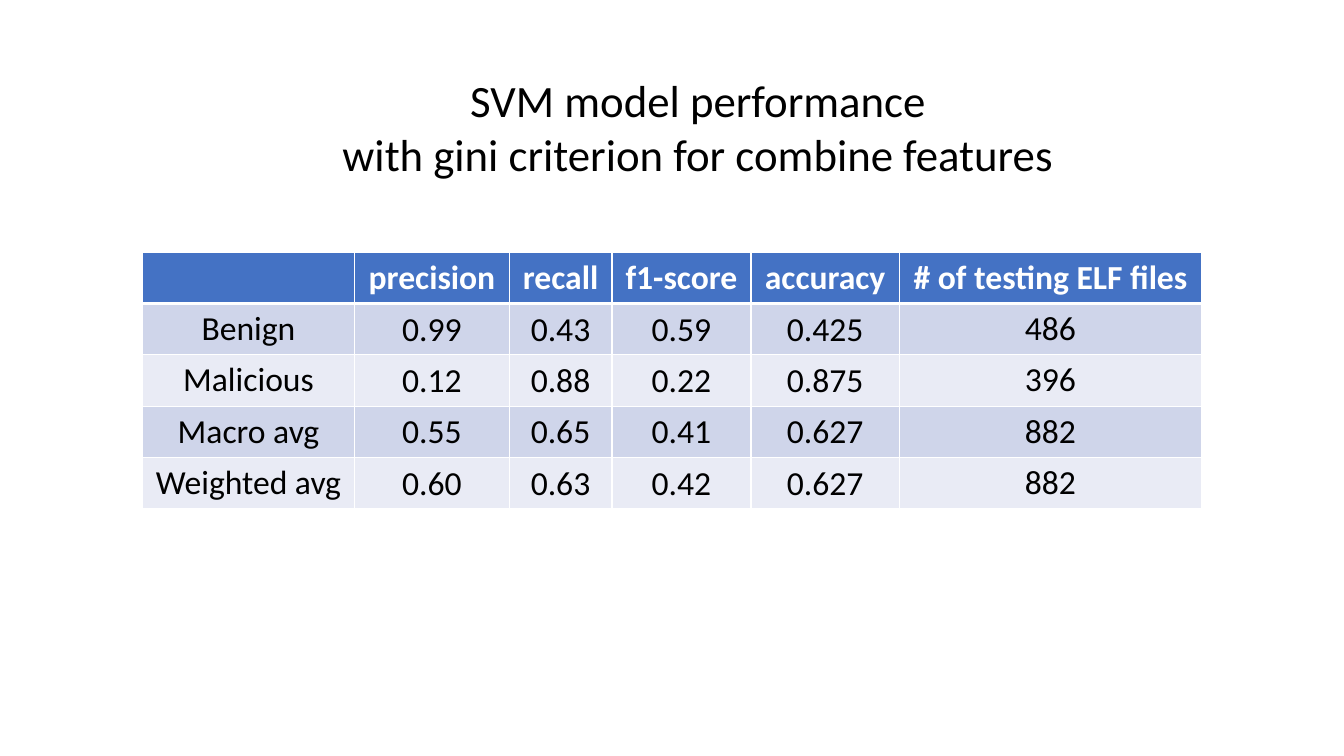
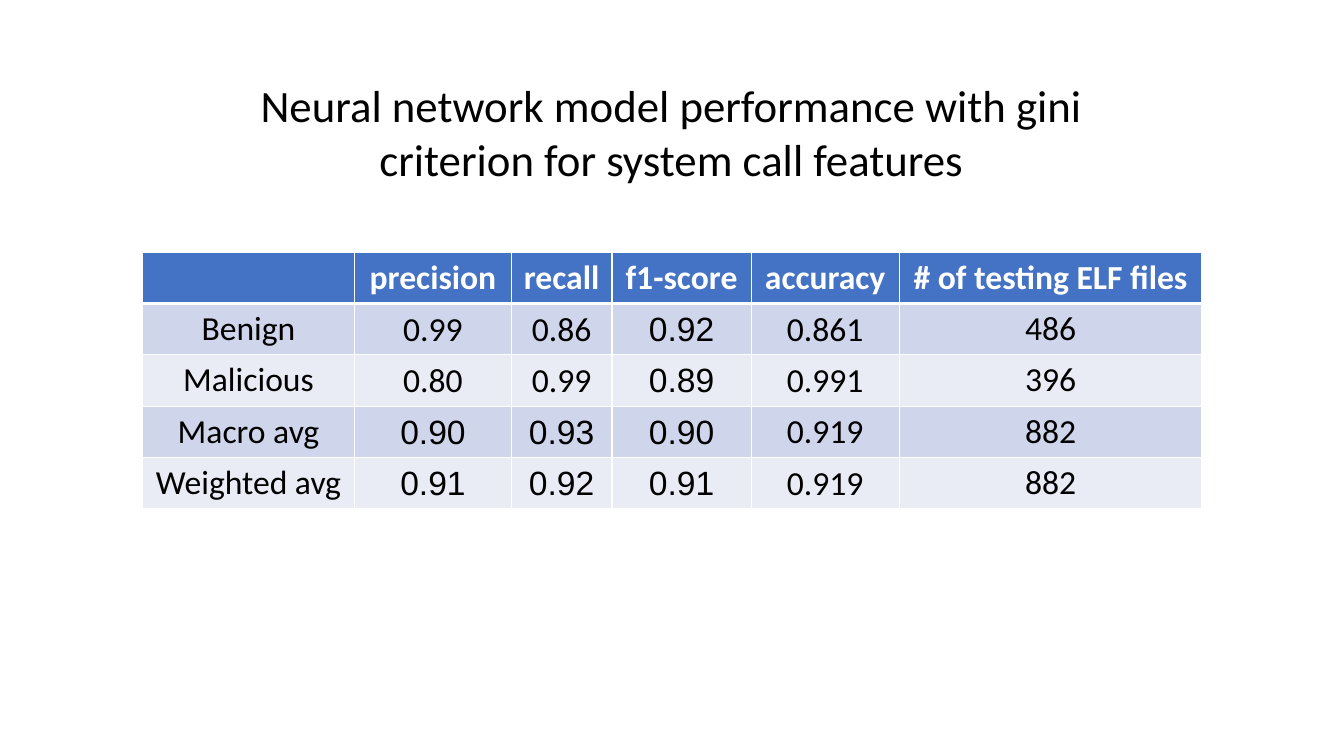
from dataclasses import dataclass

import pptx
import pptx.dml.color
import pptx.enum.text
import pptx.oxml
import pptx.oxml.ns
import pptx.util
from pptx.util import Inches

FONT = "Calibri"
ALT_FONT = "Arial"
BLACK, WHITE = "000000", "FFFFFF"
HEADER_FILL = "4472C4"
BAND_FILLS = ("CFD5EA", "E9EBF5")
TITLE_SIZE, CELL_SIZE = 32, 24
ROW_HEIGHT = 0.51
TABLE_LEFT, TABLE_TOP = 1.41, 2.5
HEADERS = ("", "precision", "recall", "f1-score", "accuracy", "# of testing ELF files")
LABELS = ("Benign", "Malicious", "Macro avg", "Weighted avg")
FILE_COUNTS = ("486", "396", "882", "882")


@dataclass(frozen=True)
class Result:
    title: tuple[str, ...]
    title_box: tuple[float, float, float, float]
    wrap_title: bool
    col_widths: tuple[float, ...]
    scores: tuple[tuple[str, ...], ...]
    alt_font_cells: frozenset[tuple[int, int]] = frozenset()


RESULTS = (
    Result(
        title=("SVM model performance ", "with gini criterion for combine features "),
        title_box=(3.26, 0.67, 7.43, 1.18),
        wrap_title=False,
        col_widths=(2.11, 1.53, 1.02, 1.38, 1.47, 3),
        scores=(
            ("0.99", "0.43", "0.59", "0.425"),
            ("0.12", "0.88", "0.22", "0.875"),
            ("0.55", "0.65", "0.41", "0.627"),
            ("0.60", "0.63", "0.42", "0.627"),
        ),
    ),
    Result(
        title=("Neural network model performance with gini criterion for system call features",),
        title_box=(2.33, 0.72, 8.66, 1.18),
        wrap_title=True,
        col_widths=(2.11, 1.55, 1, 1.38, 1.47, 3),
        scores=(
            ("0.99", "0.86", "0.92", "0.861"),
            ("0.80", "0.99", "0.89", "0.991"),
            ("0.90", "0.93", "0.90", "0.919"),
            ("0.91", "0.92", "0.91", "0.919"),
        ),
        alt_font_cells=frozenset({(1, 3), (2, 3)} | {(r, c) for r in (3, 4) for c in (1, 2, 3)}),
    ),
)


def rgb(color: str) -> pptx.dml.color.RGBColor:
    return pptx.dml.color.RGBColor.from_string(color)


def add_run(p, text: str, size: int, color: str, font: str = FONT, bold: bool = False) -> None:
    p.alignment = pptx.enum.text.PP_ALIGN.CENTER
    r = p.add_run()
    r.text = text
    r.font.name = font
    r.font.size = pptx.util.Pt(size)
    r.font.bold = bold
    r.font.color.rgb = rgb(color)


def set_borders(cell, top: int, bottom: int) -> None:
    """Give the cell white borders; call before setting its fill, which must follow them."""
    tc_pr = cell._tc.get_or_add_tcPr()
    for side, width in (("L", 1), ("R", 1), ("T", top), ("B", bottom)):
        tc_pr.append(pptx.oxml.parse_xml(
            f'<a:ln{side} {pptx.oxml.ns.nsdecls("a")} w="{pptx.util.Pt(width)}">'
            f'<a:solidFill><a:srgbClr val="{WHITE}"/></a:solidFill></a:ln{side}>'
        ))


def set_title(slide, result: Result) -> None:
    sp = slide.shapes.title
    sp.left, sp.top, sp.width, sp.height = map(Inches, result.title_box)
    tf = sp.text_frame
    tf.auto_size = pptx.enum.text.MSO_AUTO_SIZE.NONE
    tf.word_wrap = result.wrap_title
    tf.vertical_anchor = pptx.enum.text.MSO_ANCHOR.TOP
    for i, line in enumerate(result.title):
        p = tf.add_paragraph() if i else tf.paragraphs[0]
        add_run(p, line, TITLE_SIZE, BLACK)


def add_score_table(slide, result: Result) -> None:
    rows = [HEADERS] + [
        (label, *scores, count)
        for label, scores, count in zip(LABELS, result.scores, FILE_COUNTS)
    ]
    table = slide.shapes.add_table(
        len(rows), len(HEADERS), Inches(TABLE_LEFT), Inches(TABLE_TOP),
        Inches(sum(result.col_widths)), Inches(ROW_HEIGHT * len(rows)),
    ).table
    for column, width in zip(table.columns, result.col_widths):
        column.width = Inches(width)
    for i, texts in enumerate(rows):
        table.rows[i].height = Inches(ROW_HEIGHT)
        header = i == 0
        for j, text in enumerate(texts):
            cell = table.cell(i, j)
            set_borders(cell, top=3 if i == 1 else 1, bottom=3 if header else 1)
            cell.fill.solid()
            cell.fill.fore_color.rgb = rgb(HEADER_FILL if header else BAND_FILLS[(i - 1) % 2])
            cell.vertical_anchor = pptx.enum.text.MSO_ANCHOR.MIDDLE
            if not header and 0 < j < len(HEADERS) - 1:
                cell.margin_left = cell.margin_right = cell.margin_top = Inches(0.01)
                cell.margin_bottom = 0
            if text:
                font = ALT_FONT if (i, j) in result.alt_font_cells else FONT
                add_run(cell.text_frame.paragraphs[0], text, CELL_SIZE,
                        WHITE if header else BLACK, font, bold=header)


def main() -> None:
    prs = pptx.Presentation()
    prs.slide_width, prs.slide_height = Inches(13.33), Inches(7.5)
    title_only = prs.slide_layouts.get_by_name("Title Only")
    for result in RESULTS:
        slide = prs.slides.add_slide(title_only)
        add_score_table(slide, result)
        set_title(slide, result)
    prs.save("out.pptx")


if __name__ == "__main__":
    main()
